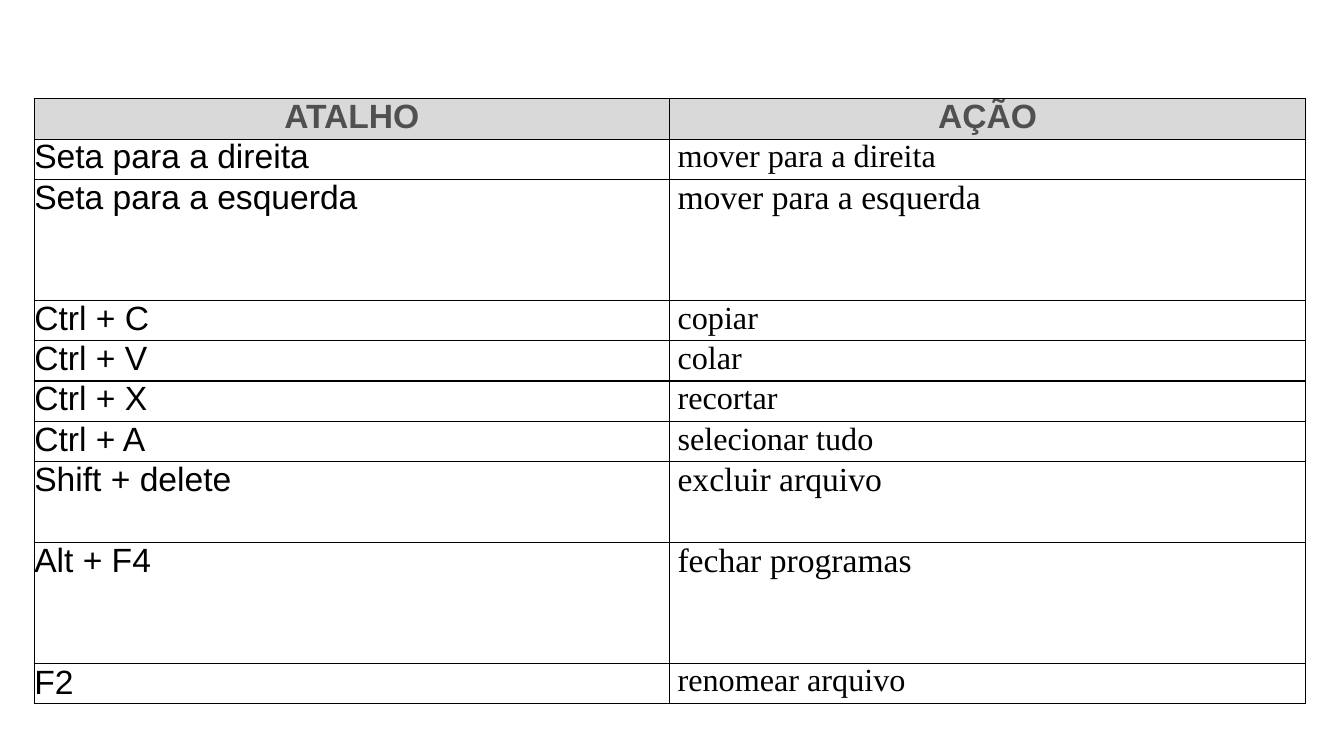
from lxml.etree import SubElement as Sub
from pptx import Presentation
from pptx.dml.color import RGBColor as Rgb
from pptx.enum.text import PP_ALIGN as Align
from pptx.oxml.ns import qn
from pptx.util import Inches, Pt

HUES = {"line": "000000", "text": "000000", "head": "505050", "band": "D9D9D9"}
HEADS = ("ATALHO", "AÇÃO")
KEYS = [
    ("Seta para a direita", "mover para a direita", 0.4),
    ("Seta para a esquerda", "mover para a esquerda", 1.2),
    ("Ctrl + C", "copiar", 0.4),
    ("Ctrl + V", "colar", 0.4),
    ("Ctrl + X", "recortar", 0.4),
    ("Ctrl + A", "selecionar tudo", 0.4),
    ("Shift + delete", "excluir arquivo", 0.8),
    ("Alt + F4", "fechar programas", 1.2),
    ("F2", "renomear arquivo", 0.4),
]


def edge(cell):
    """Draw a thin line on all four sides of a cell."""
    props = cell._tc.get_or_add_tcPr()
    for side in ("lnL", "lnR", "lnT", "lnB"):
        line = Sub(props, qn(f"a:{side}"), w=str(Pt(1)))
        fill = Sub(line, qn("a:solidFill"))
        Sub(fill, qn("a:srgbClr"), val=HUES["line"])


def write(cell, text, font="Arial", size=24, hue="text", bold=False,
          align=Align.LEFT, lead=None, left=0):
    """Put formatted text in a cell."""
    cell.margin_left = Inches(left)
    cell.margin_right = cell.margin_top = cell.margin_bottom = 0
    para = cell.text_frame.paragraphs[0]
    para.alignment = align
    if lead:
        para.line_spacing = Pt(lead)
    run = para.add_run()
    run.text = text
    run.font.name = font
    run.font.size = Pt(size)
    run.font.bold = bold
    run.font.color.rgb = Rgb.from_string(HUES[hue])


def paint(cell, hue=None):
    """Fill a cell with a colour, or leave it clear."""
    if hue:
        cell.fill.solid()
        cell.fill.fore_color.rgb = Rgb.from_string(HUES[hue])
    else:
        cell.fill.background()


def grid(slide):
    """Build the table of shortcuts and their actions."""
    table = slide.shapes.add_table(
        len(KEYS) + 1, 2, Inches(0.34), Inches(0.98),
        Inches(12.61), Inches(6)).table
    for col, width in zip(table.columns, (6.3, 6.31)):
        col.width = Inches(width)
    for row, high in zip(table.rows, [0.4] + [key[2] for key in KEYS]):
        row.height = Inches(high)
    for cell in table.iter_cells():
        edge(cell)
        paint(cell)
    for cell, text in zip(table.rows[0].cells, HEADS):
        paint(cell, "band")
        write(cell, text, hue="head", bold=True, align=Align.CENTER, lead=26.4)
    for num, (keys, act, high) in enumerate(KEYS, 1):
        write(table.cell(num, 0), keys, lead=26.4 if num < len(KEYS) else 27.4)
        write(table.cell(num, 1), act, font="Times New Roman",
              size=24 if high > 0.4 else 23, left=0.08)


def main():
    """Make the slide and save it."""
    deck = Presentation()
    deck.slide_width, deck.slide_height = Inches(13.33), Inches(7.5)
    grid(deck.slides.add_slide(deck.slide_layouts[6]))
    deck.save("out.pptx")


main()
